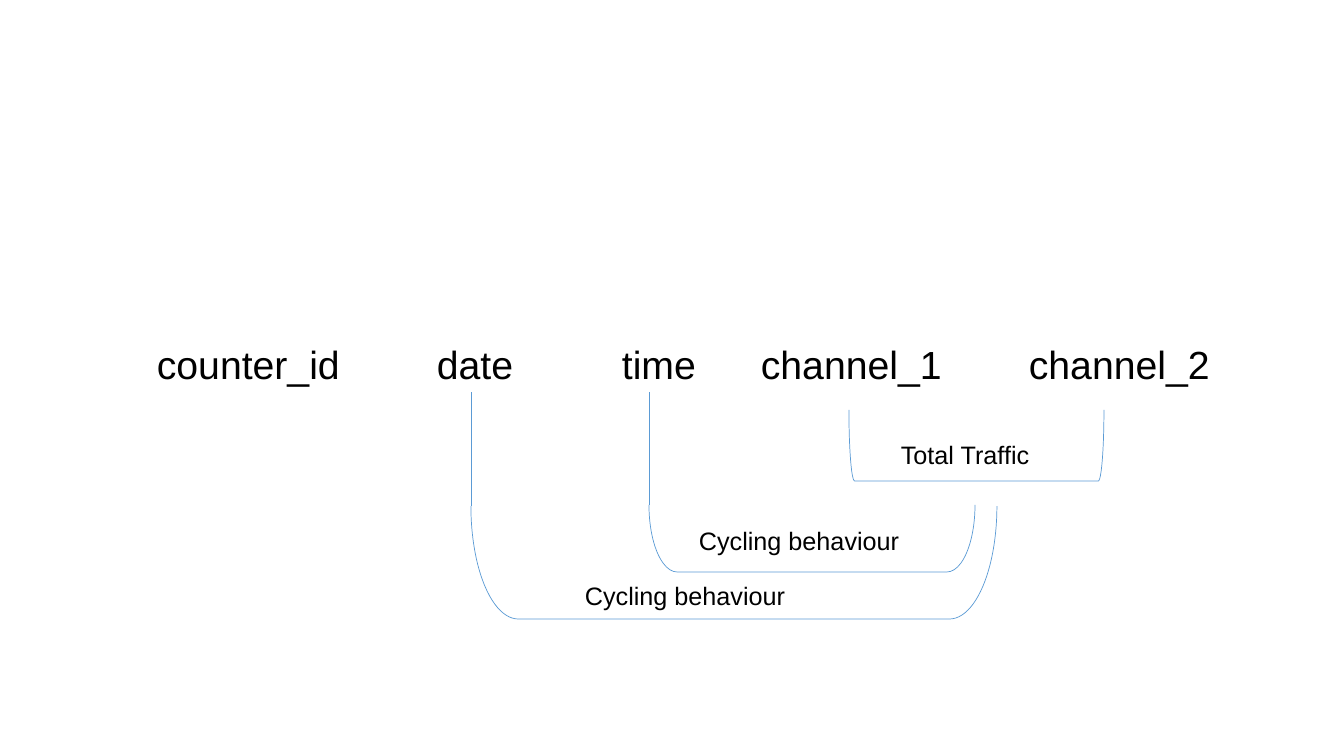
from lxml import etree
from pptx import Presentation
from pptx import util as u
from pptx.dml.color import RGBColor
from pptx.enum import shapes, text
from pptx.oxml.ns import qn

BLUE = RGBColor(0x5B, 0x9B, 0xD5)
BLACK = RGBColor(0, 0, 0)
SCALE = 914400 / 100.8


def px(n):
    return u.Emu(round(n * SCALE))


def label(words, left, top, width, height, size):
    box = slide.shapes.add_textbox(px(left), px(top), px(width), px(height))
    frame = box.text_frame
    frame.word_wrap = True
    frame.auto_size = text.MSO_AUTO_SIZE.SHAPE_TO_FIT_TEXT
    para = frame.paragraphs[0]
    run = para.add_run()
    run.text = words
    run.font.name = "Arial"
    run.font.size = u.Pt(size)
    run.font.color.rgb = BLACK
    return para


deck = Presentation()
deck.slide_width, deck.slide_height = px(1344), px(756)
slide = deck.slides.add_slide(deck.slide_layouts[6])

fields = ["counter_id", "date", "time", "channel_1", "channel_2"]
header = label("\t".join(fields), 147, 335, 1086, 57, 28)
tabs = etree.SubElement(header._p.get_or_add_pPr(), qn("a:tabLst"))
for stop in (280, 465, 604, 872):
    etree.SubElement(tabs, qn("a:tab"), pos=str(px(stop)), algn="l")

brackets = [
    (849, 410, 255, 71, 0.08, False),
    (649, 505, 326, 67, 0.42, True),
    (471, 506, 526, 113, 0.42, True),
]
for left, top, width, depth, curve, stem in brackets:
    mid_x, mid_y = left + width / 2, top + depth / 2
    bracket = slide.shapes.add_shape(
        shapes.MSO_SHAPE.LEFT_BRACKET,
        px(mid_x - depth / 2), px(mid_y - width / 2), px(depth), px(width))
    bracket.rotation = 270
    bracket.adjustments[0] = curve
    bracket.shadow.inherit = False
    bracket.fill.background()
    lines = [bracket.line]
    if stem:
        link = slide.shapes.add_connector(
            shapes.MSO_CONNECTOR.STRAIGHT, px(left), px(top), px(left), px(392))
        etree.SubElement(link._element.spPr, qn("a:effectLst"))
        lines.append(link.line)
    for line in lines:
        line.color.rgb = BLUE
        line.width = u.Pt(0.5)

label("Total Traffic", 891, 434, 150, 40, 18)
for left, top in ((689, 520), (575, 575)):
    label("Cycling behaviour", left, top, 223, 40, 18)

deck.save("out.pptx")
